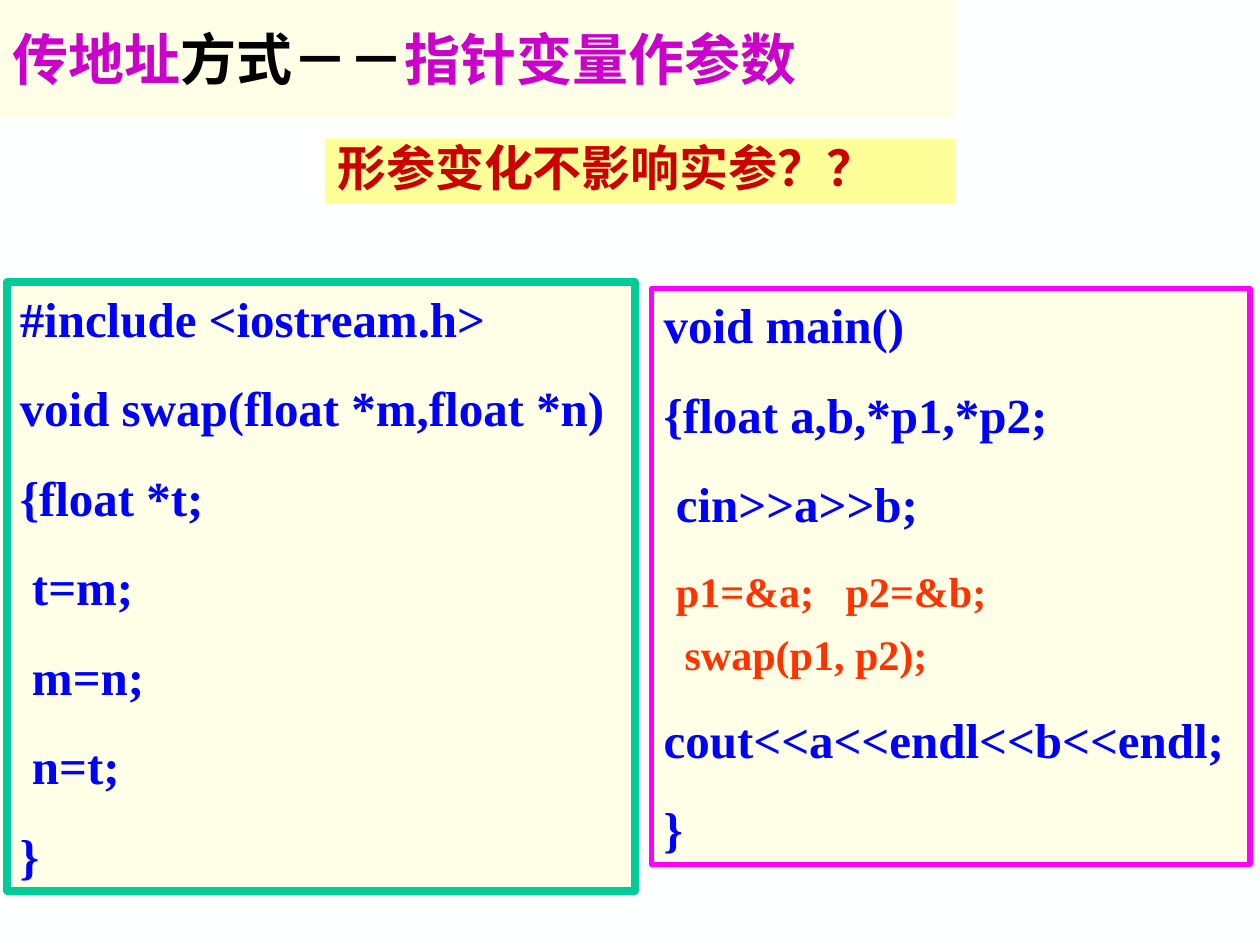
from dataclasses import dataclass

import pptx
import pptx.dml.color
import pptx.enum.shapes
import pptx.enum.text
import pptx.oxml
import pptx.oxml.ns
import pptx.util

Cm = pptx.util.Cm
Pt = pptx.util.Pt
ANCHOR = pptx.enum.text.MSO_ANCHOR

COLORS = {
    "page": "FEFFFF",
    "cream": "FFFFE7",
    "yellow": "FFFF99",
    "purple": "CC00CC",
    "black": "000000",
    "crimson": "CC0000",
    "blue": "0000FF",
    "orange": "FF3300",
    "green": "00CC99",
    "pink": "FF00FF",
}
HAN = "Noto Sans CJK SC"
ROMAN = "Times New Roman"


@dataclass
class Panel:
    left: float
    top: float
    width: float
    height: float
    fill: str = "cream"
    line: str = ""
    weight: float = 0
    anchor: ANCHOR = ANCHOR.TOP


@dataclass
class Code:
    text: str
    size: float = 28
    color: str = "blue"
    before: float = 17.5
    indent: str = ""


def shade(name: str) -> pptx.dml.color.RGBColor:
    return pptx.dml.color.RGBColor.from_string(COLORS[name])


def draw_panel(slide, panel: Panel):
    """Draw a rectangle and return its text frame."""
    box = slide.shapes.add_shape(
        pptx.enum.shapes.MSO_SHAPE.RECTANGLE,
        Cm(panel.left), Cm(panel.top), Cm(panel.width), Cm(panel.height))
    box.shadow.inherit = False
    box.fill.solid()
    box.fill.fore_color.rgb = shade(panel.fill)
    if panel.line:
        box.line.color.rgb = shade(panel.line)
        box.line.width = Pt(panel.weight)
    else:
        box.line.fill.background()
    frame = box.text_frame
    frame.word_wrap = True
    frame.vertical_anchor = panel.anchor
    frame.paragraphs[0].alignment = pptx.enum.text.PP_ALIGN.LEFT
    return frame


def add_text(para, text: str, *, size: float = 28, color: str = "blue",
             font: str = ROMAN) -> None:
    """Append a bold run; the font also serves East Asian letters."""
    run = para.add_run()
    run.text = text
    run.font.size = Pt(size)
    run.font.bold = True
    run.font.color.rgb = shade(color)
    run.font.name = font
    if font == HAN:
        props = run.font._element
        east = pptx.oxml.parse_xml(
            f'<a:ea {pptx.oxml.ns.nsdecls("a")} typeface="{font}"/>')
        props.find(pptx.oxml.ns.qn("a:latin")).addnext(east)


def draw_code(slide, panel: Panel, lines: list[Code]) -> None:
    frame = draw_panel(slide, panel)
    for index, line in enumerate(lines):
        para = frame.add_paragraph() if index else frame.paragraphs[0]
        para.alignment = pptx.enum.text.PP_ALIGN.LEFT
        para.space_before = Pt(line.before if index else 0)
        if line.indent:
            add_text(para, line.indent)
        add_text(para, line.text, size=line.size, color=line.color)


TITLE = Panel(0, 0, 19.25, 2.36, anchor=ANCHOR.MIDDLE)
NOTE = Panel(6.55, 2.79, 12.7, 1.32, fill="yellow")
MAIN = Panel(13.13, 5.82, 12.07, 11.61, line="pink", weight=3)
SWAP = Panel(0.15, 5.69, 12.65, 12.27, line="green", weight=4.5)

HEAD = [("传地址", "purple"), ("方式－－", "black"), ("指针变量作参数", "purple")]
MAIN_CODE = [
    Code("void main()"),
    Code("{float a,b,*p1,*p2;"),
    Code(" cin>>a>>b;"),
    Code("p1=&a;   p2=&b;", 24, "orange", 15, indent=" "),
    Code("  swap(p1, p2);", 24, "orange", 6),
    Code("cout<<a<<endl<<b<<endl;"),
    Code("}"),
]
SWAP_CODE = [Code(text) for text in (
    "#include <iostream.h>", "void swap(float *m,float *n)", "{float *t;",
    " t=m;", " m=n;", " n=t;", "}")]


def main() -> None:
    deck = pptx.Presentation()
    deck.slide_width, deck.slide_height = Cm(25.4), Cm(19.05)
    slide = deck.slides.add_slide(deck.slide_layouts[6])
    slide.background.fill.solid()
    slide.background.fill.fore_color.rgb = shade("page")

    title = draw_panel(slide, TITLE).paragraphs[0]
    for text, color in HEAD:
        add_text(title, text, size=32, color=color, font=HAN)

    draw_code(slide, MAIN, MAIN_CODE)
    draw_code(slide, SWAP, SWAP_CODE)

    note = draw_panel(slide, NOTE).paragraphs[0]
    note.line_spacing = 0.9
    add_text(note, "形参变化不影响实参？？", color="crimson", font=HAN)

    deck.save("out.pptx")


if __name__ == "__main__":
    main()
